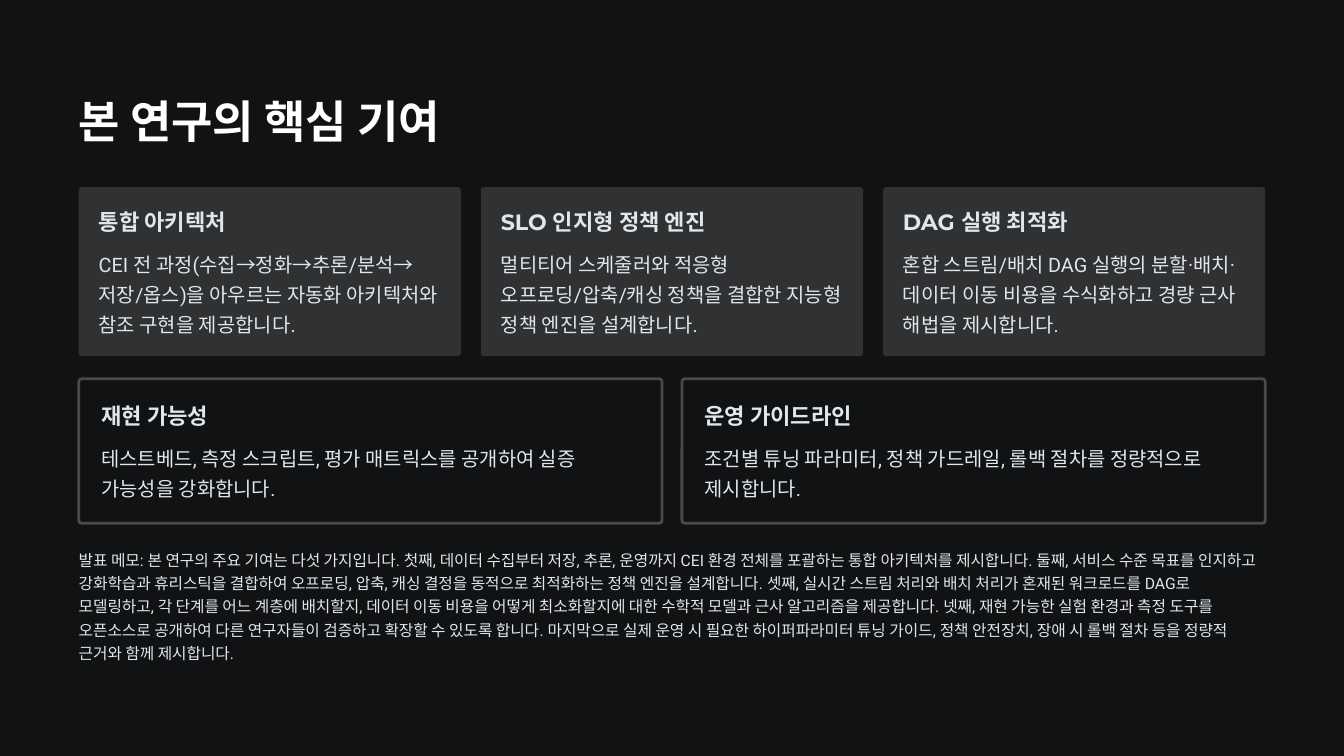
"""Builds the slide on the five core contributions of the study."""
import dataclasses

import pptx
import pptx.dml.color
import pptx.enum.shapes
import pptx.enum.text
import pptx.util

Pt = pptx.util.Pt
LEFT, WIDTH, GAP = 67.5, 1017, 17


@dataclasses.dataclass(frozen=True)
class TextStyle:
    """Font, colour, size and line spacing of a text."""
    font: str
    size: float
    spacing: float
    color: str
    bold: bool = False
    wrap: bool = True


@dataclasses.dataclass(frozen=True)
class CardStyle:
    """Fill, border, padding and corner rounding of a card."""
    fill: str
    line: str | None
    pad: float
    corner: float


@dataclasses.dataclass(frozen=True)
class Theme:
    """Colours and type sizes of the slide."""
    background: str = "111213"
    line_width: float = 2.4
    title: TextStyle = TextStyle("Montserrat", 38.5, 48, "FFFFFF", True, False)
    heading: TextStyle = TextStyle("Montserrat", 19, 24, "E2E6E9", True, False)
    body: TextStyle = TextStyle("Roboto", 17, 25.5, "E2E6E9")
    memo: TextStyle = TextStyle("Roboto", 13.5, 20, "E2E6E9")
    filled: CardStyle = CardStyle("303132", None, 17.1, 0.018)
    outlined: CardStyle = CardStyle("111213", "494A4B", 19.4, 0.021)


THEME = Theme()
TITLE = "본 연구의 핵심 기여"
DESIGN_CARDS = [
    ("통합 아키텍처",
     "CEI 전 과정(수집→정화→추론/분석→저장/옵스)을 아우르는 자동화 "
     "아키텍처와 참조 구현을 제공합니다."),
    ("SLO 인지형 정책 엔진",
     "멀티티어 스케줄러와 적응형 오프로딩/압축/캐싱 정책을 결합한 "
     "지능형 정책 엔진을 설계합니다."),
    ("DAG 실행 최적화",
     "혼합 스트림/배치 DAG 실행의 분할·배치·데이터 이동 비용을 수식화하고 "
     "경량 근사 해법을 제시합니다."),
]
PRACTICE_CARDS = [
    ("재현 가능성",
     "테스트베드, 측정 스크립트, 평가 매트릭스를 공개하여 실증 가능성을 강화합니다."),
    ("운영 가이드라인",
     "조건별 튜닝 파라미터, 정책 가드레일, 롤백 절차를 정량적으로 제시합니다."),
]
MEMO = (
    "발표 메모: 본 연구의 주요 기여는 다섯 가지입니다. "
    "첫째, 데이터 수집부터 저장, 추론, 운영까지 CEI 환경 전체를 포괄하는 "
    "통합 아키텍처를 제시합니다. "
    "둘째, 서비스 수준 목표를 인지하고 강화학습과 휴리스틱을 결합하여 "
    "오프로딩, 압축, 캐싱 결정을 동적으로 최적화하는 정책 엔진을 설계합니다. "
    "셋째, 실시간 스트림 처리와 배치 처리가 혼재된 워크로드를 DAG로 모델링하고, "
    "각 단계를 어느 계층에 배치할지, 데이터 이동 비용을 어떻게 최소화할지에 대한 "
    "수학적 모델과 근사 알고리즘을 제공합니다. "
    "넷째, 재현 가능한 실험 환경과 측정 도구를 오픈소스로 공개하여 "
    "다른 연구자들이 검증하고 확장할 수 있도록 합니다. "
    "마지막으로 실제 운영 시 필요한 하이퍼파라미터 튜닝 가이드, 정책 안전장치, "
    "장애 시 롤백 절차 등을 정량적 근거와 함께 제시합니다."
)


def rgb(value):
    """Return the colour for a hex string."""
    return pptx.dml.color.RGBColor.from_string(value)


def add_text(s, text, x, y, w, h, style):
    """Add a text box without margins."""
    tf = s.shapes.add_textbox(Pt(x), Pt(y), Pt(w), Pt(h)).text_frame
    tf.margin_left = tf.margin_top = tf.margin_right = tf.margin_bottom = 0
    tf.word_wrap = style.wrap
    tf.auto_size = pptx.enum.text.MSO_AUTO_SIZE.NONE
    p = tf.paragraphs[0]
    p.alignment = pptx.enum.text.PP_ALIGN.LEFT
    p.line_spacing = Pt(style.spacing)
    r = p.add_run()
    r.text = text
    r.font.name = style.font
    r.font.size = Pt(style.size)
    r.font.bold = style.bold
    r.font.color.rgb = rgb(style.color)


def add_card(s, heading, body, x, y, w, h, style):
    """Add a rounded card with a heading and a body text."""
    sp = s.shapes.add_shape(pptx.enum.shapes.MSO_SHAPE.ROUNDED_RECTANGLE,
                            Pt(x), Pt(y), Pt(w), Pt(h))
    sp.adjustments[0] = style.corner
    sp.shadow.inherit = False
    sp.fill.solid()
    sp.fill.fore_color.rgb = rgb(style.fill)
    if style.line:
        sp.line.color.rgb = rgb(style.line)
        sp.line.width = Pt(THEME.line_width)
    else:
        sp.line.fill.background()
    pad = style.pad
    body_top = pad + 34
    add_text(s, heading, x + pad, y + pad, 193, 24.5, THEME.heading)
    add_text(s, body, x + pad, y + body_top, w - 2 * pad, h - body_top - pad,
             THEME.body)


def add_card_row(s, cards, y, h, style):
    """Spread cards of equal width over the content width."""
    w = (WIDTH - GAP * (len(cards) - 1)) / len(cards)
    for i, (heading, body) in enumerate(cards):
        add_card(s, heading, body, LEFT + i * (w + GAP), y, w, h, style)


def main():
    """Build and save the slide."""
    prs = pptx.Presentation()
    prs.slide_width, prs.slide_height = Pt(1152), Pt(648)
    s = prs.slides.add_slide(prs.slide_layouts[6])
    s.background.fill.solid()
    s.background.fill.fore_color.rgb = rgb(THEME.background)
    add_text(s, TITLE, LEFT, 78.5, 387, 48, THEME.title)
    add_card_row(s, DESIGN_CARDS, 160.5, 144.7, THEME.filled)
    add_card_row(s, PRACTICE_CARDS, 324.7, 123.8, THEME.outlined)
    add_text(s, MEMO, LEFT, 468, WIDTH, 102, THEME.memo)
    prs.save("out.pptx")


if __name__ == "__main__":
    main()
